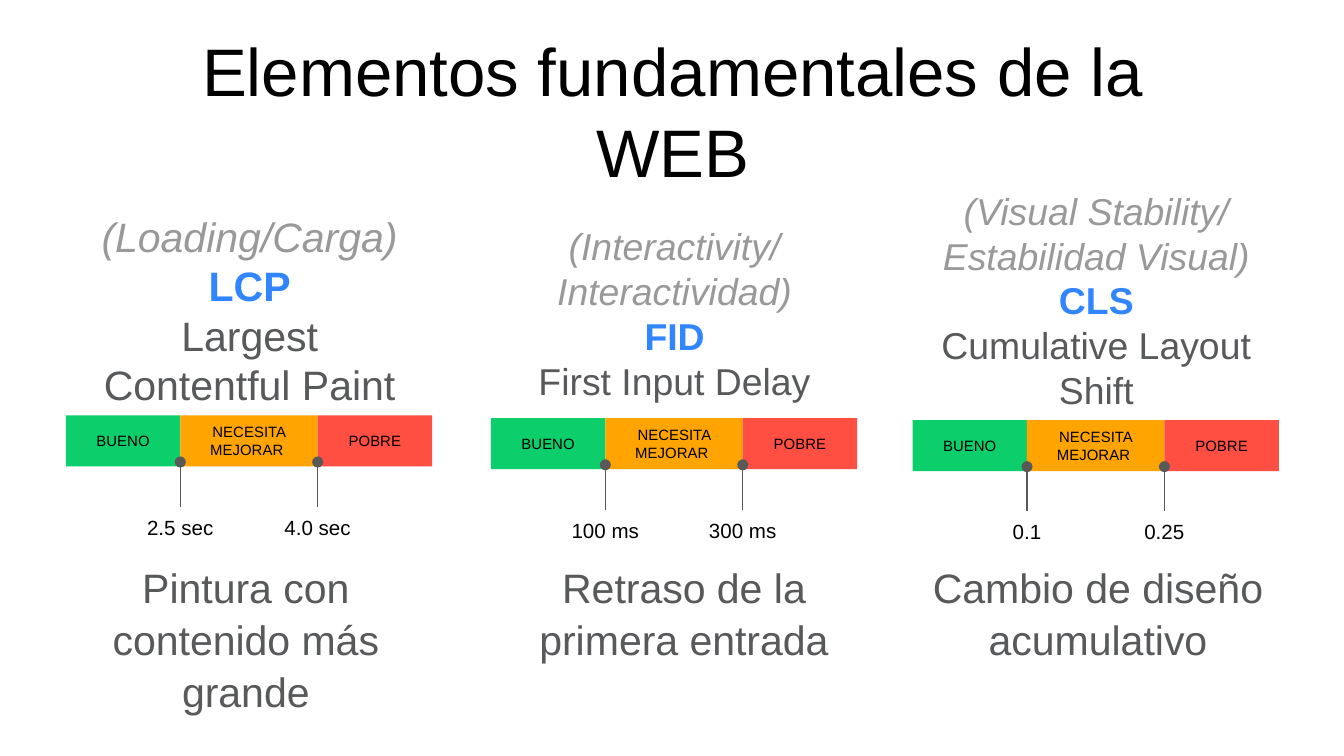
from lxml.etree import SubElement
from pptx import Presentation
from pptx.dml.color import RGBColor
from pptx.enum.shapes import MSO_CONNECTOR, MSO_SHAPE
from pptx.enum.text import MSO_ANCHOR, MSO_AUTO_SIZE, PP_ALIGN
from pptx.oxml.ns import qn
from pptx.util import Pt

FONT = "Arial"
BLACK, GRAY, BLUE, DARK, LINE = "000000", "999999", "3185FF", "58595B", "595959"

# Rating bands: wording, width, fill
BANDS = [
    ("BUENO", 61.3, "0CCE6B"),
    ("NECESITA MEJORAR ", 73.6, "FFA400"),
    ("POBRE", 61.3, "FF4E42"),
]
BAND_HEIGHT = 27.4
COLUMN_WIDTH = 184.3
INSET = 7.2

# Left and top of the bar, heading size, bottom inset, heading lines, limits
METRICS = [
    (35.3, 222.5, 22, INSET,
     ["(Loading/Carga)", "LCP", "Largest Contentful Paint"],
     ["2.5 sec", "4.0 sec"]),
    (263, 224, 20, INSET,
     ["(Interactivity/\vInteractividad)", "FID", "First Input Delay"],
     ["100 ms", "300 ms"]),
    (488.9, 225, 20, 23,
     ["(Visual Stability/\vEstabilidad Visual)", "CLS", "Cumulative Layout Shift"],
     ["0.1", "0.25"]),
]

# Left, height, wording
CAPTIONS = [
    (39.6, 82, "Pintura con contenido más grande"),
    (274.3, 60.5, "Retraso de la primera entrada"),
    (496.1, 60.5, "Cambio de diseño acumulativo"),
]


def color(value):
    return RGBColor.from_string(value)


def set_frame(frame, inset=0, bottom=None, anchor=MSO_ANCHOR.TOP):
    frame.word_wrap = True
    frame.auto_size = MSO_AUTO_SIZE.NONE
    frame.vertical_anchor = anchor
    frame.margin_left = frame.margin_right = frame.margin_top = Pt(inset)
    frame.margin_bottom = Pt(inset if bottom is None else bottom)


def style(para, size, hex_color, bold=False, italic=False):
    para.alignment = PP_ALIGN.CENTER
    for span in para.runs:
        span.font.name = FONT
        span.font.size = Pt(size)
        span.font.bold = bold
        span.font.italic = italic
        span.font.color.rgb = color(hex_color)


def add_text(shapes, left, top, width, height, text, size, hex_color):
    box = shapes.add_textbox(Pt(left), Pt(top), Pt(width), Pt(height))
    set_frame(box.text_frame)
    para = box.text_frame.paragraphs[0]
    para.text = text
    style(para, size, hex_color)
    return para


def add_title(page, text):
    title = page.shapes.title
    title.left, title.top, title.width, title.height = Pt(86.4), Pt(33.8), Pt(548), Pt(86.4)
    set_frame(title.text_frame, INSET, 18, MSO_ANCHOR.BOTTOM)
    title.text_frame.text = text
    style(title.text_frame.paragraphs[0], 36, BLACK)


def add_heading(shapes, left, top, lines, size, bottom):
    box = shapes.add_textbox(Pt(left), Pt(top), Pt(COLUMN_WIDTH), Pt(89.3))
    frame = box.text_frame
    set_frame(frame, INSET, bottom, MSO_ANCHOR.MIDDLE)
    frame.text = "\n".join(lines)
    category, acronym, name = frame.paragraphs
    style(category, size, GRAY, italic=True)
    style(acronym, size, BLUE, bold=True)
    style(name, size, DARK)


def add_band(shapes, left, top, width, text, fill):
    band = shapes.add_shape(MSO_SHAPE.RECTANGLE, Pt(left), Pt(top), Pt(width), Pt(BAND_HEIGHT))
    band.shadow.inherit = False
    band.fill.solid()
    band.fill.fore_color.rgb = color(fill)
    band.line.fill.background()
    set_frame(band.text_frame, anchor=MSO_ANCHOR.MIDDLE)
    band.text_frame.text = text
    style(band.text_frame.paragraphs[0], 8, BLACK)


def add_marker(shapes, x, top, label):
    # Pin with a round head, and the limit centred below it
    pin = shapes.add_connector(MSO_CONNECTOR.STRAIGHT, Pt(x), Pt(top + 25), Pt(x), Pt(top + 49))
    pin.line.color.rgb = color(LINE)
    pin.line.width = Pt(0.75)
    outline = pin.line._get_or_add_ln()
    SubElement(outline, qn("a:headEnd"), type="oval", w="med", len="med")
    SubElement(pin._element.spPr, qn("a:effectLst"))
    width = 53.3
    add_text(shapes, x - width / 2, top + 53.3, width, 17.3, label, 11, BLACK)


def add_metric(page, left, top, size, bottom, lines, limits):
    shapes = page.shapes.add_group_shape().shapes
    add_heading(shapes, left + 6.3, top - 101, lines, size, bottom)
    x = left
    edges = []
    for text, width, fill in BANDS:
        add_band(shapes, x, top, width, text, fill)
        x += width
        edges.append(x)
    for edge, label in zip(edges, limits):
        add_marker(shapes, edge, top, label)


def main():
    deck = Presentation()
    deck.slide_width, deck.slide_height = Pt(720), Pt(405)
    page = deck.slides.add_slide(deck.slide_layouts[5])

    add_title(page, "Elementos fundamentales de la WEB")

    # One group per metric
    for metric in METRICS:
        add_metric(page, *metric)

    # Translated names
    for left, height, text in CAPTIONS:
        para = add_text(page.shapes, left, 300.2, COLUMN_WIDTH, height, text, 22, DARK)
        para.line_spacing = 1.05

    deck.save("out.pptx")


if __name__ == "__main__":
    main()
